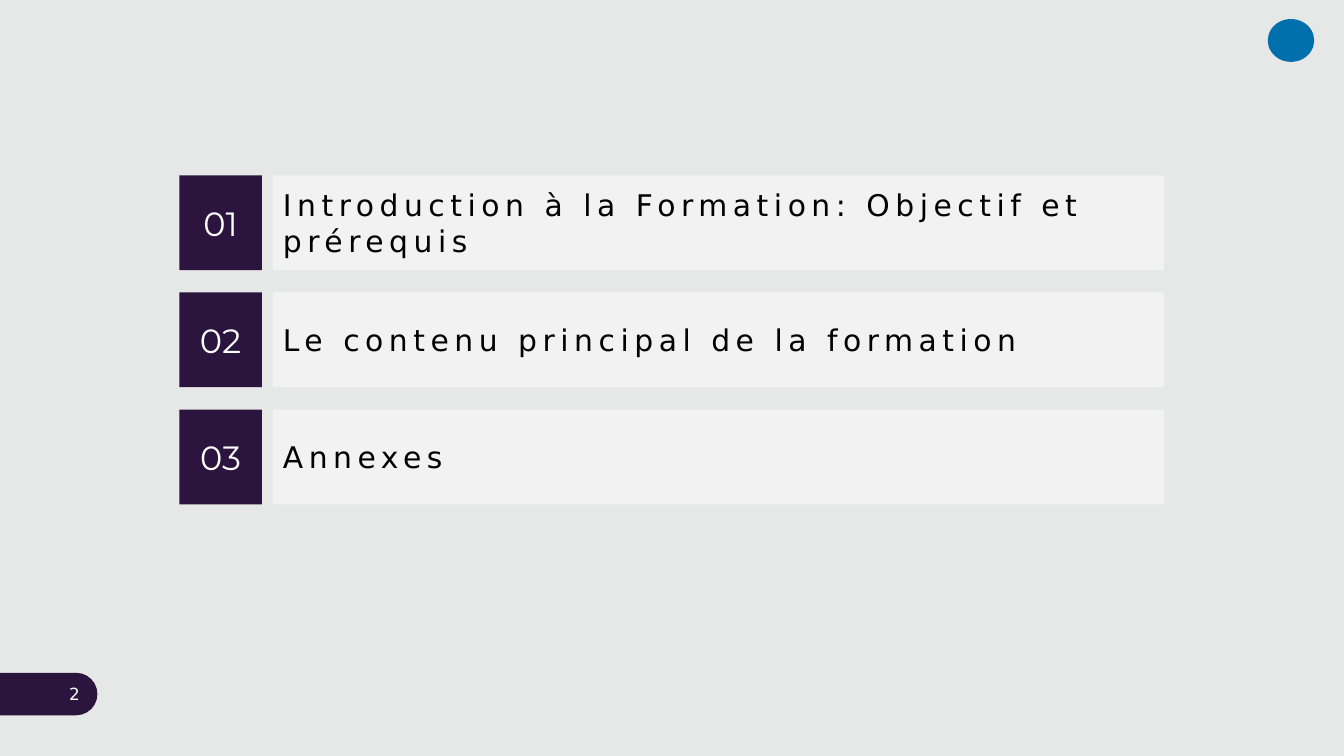
from pptx import Presentation
from pptx.dml.color import RGBColor
from pptx.enum.shapes import MSO_SHAPE as Kind
from pptx.enum.text import MSO_ANCHOR as Anchor, PP_ALIGN as Align
from pptx.util import Cm, Pt

TOPICS = [
    "Introduction à la Formation: Objectif et prérequis",
    "Le contenu principal de la formation",
    "Annexes",
]
PAGE = "2"
HUES = {
    "back": "E6E7E7",
    "dark": "2B143D",
    "bar": "F2F2F2",
    "mark": "0070AD",
    "ink": "000000",
    "white": "FFFFFF",
}
SANS, ROUND = "DejaVu Sans", "Montserrat"

# Agenda grid, in centimetres
TOP, STEP, HIGH = 4.42, 2.95, 2.39
NUM_X, NUM_W = 4.52, 2.08
BAR_X, BAR_W = 6.88, 22.45


def hue(name):
    return RGBColor.from_string(HUES[name])


def draw(slide, kind, box, fill):
    shape = slide.shapes.add_shape(kind, *map(Cm, box))
    shape.shadow.inherit = False
    shape.fill.solid()
    shape.fill.fore_color.rgb = hue(fill)
    shape.line.fill.background()
    return shape


def write(shape, text, size, font=SANS, color="ink", align=Align.LEFT, space=0):
    """Set the text of a shape; space is the letter spacing in points."""
    frame = shape.text_frame
    frame.word_wrap = True
    frame.vertical_anchor = Anchor.MIDDLE
    para = frame.paragraphs[0]
    para.alignment = align
    run = para.add_run()
    run.text = text
    run.font.size = Pt(size)
    run.font.name = font
    run.font.color.rgb = hue(color)
    if space:
        run.font._element.set("spc", str(space * 100))


def add_page(slide):
    tab = draw(slide, Kind.ROUND_2_SAME_RECTANGLE, (0.69, 16.26, 1.07, 2.46), "dark")
    tab.adjustments[0] = 0.5
    tab.rotation = 90
    box = slide.shapes.add_textbox(*map(Cm, (0.66, 17.02, 1.6, 0.94)))
    write(box, PAGE, 12, color="white", align=Align.RIGHT)


def add_topic(slide, row, topic):
    top = TOP + row * STEP
    bar = draw(slide, Kind.RECTANGLE, (BAR_X, top, BAR_W, HIGH), "bar")
    write(bar, topic, 21.3, space=4)
    num = draw(slide, Kind.RECTANGLE, (NUM_X, top, NUM_W, HIGH), "dark")
    write(num, f"{row + 1:02}", 24, ROUND, "white", Align.CENTER)


def main():
    deck = Presentation()
    deck.slide_width, deck.slide_height = Cm(33.87), Cm(19.05)
    slide = deck.slides.add_slide(deck.slide_layouts[6])
    slide.background.fill.solid()
    slide.background.fill.fore_color.rgb = hue("back")
    add_page(slide)
    draw(slide, Kind.OVAL, (31.95, 0.48, 1.17, 1.08), "mark")
    for row, topic in enumerate(TOPICS):
        add_topic(slide, row, topic)
    deck.save("out.pptx")


if __name__ == "__main__":
    main()
